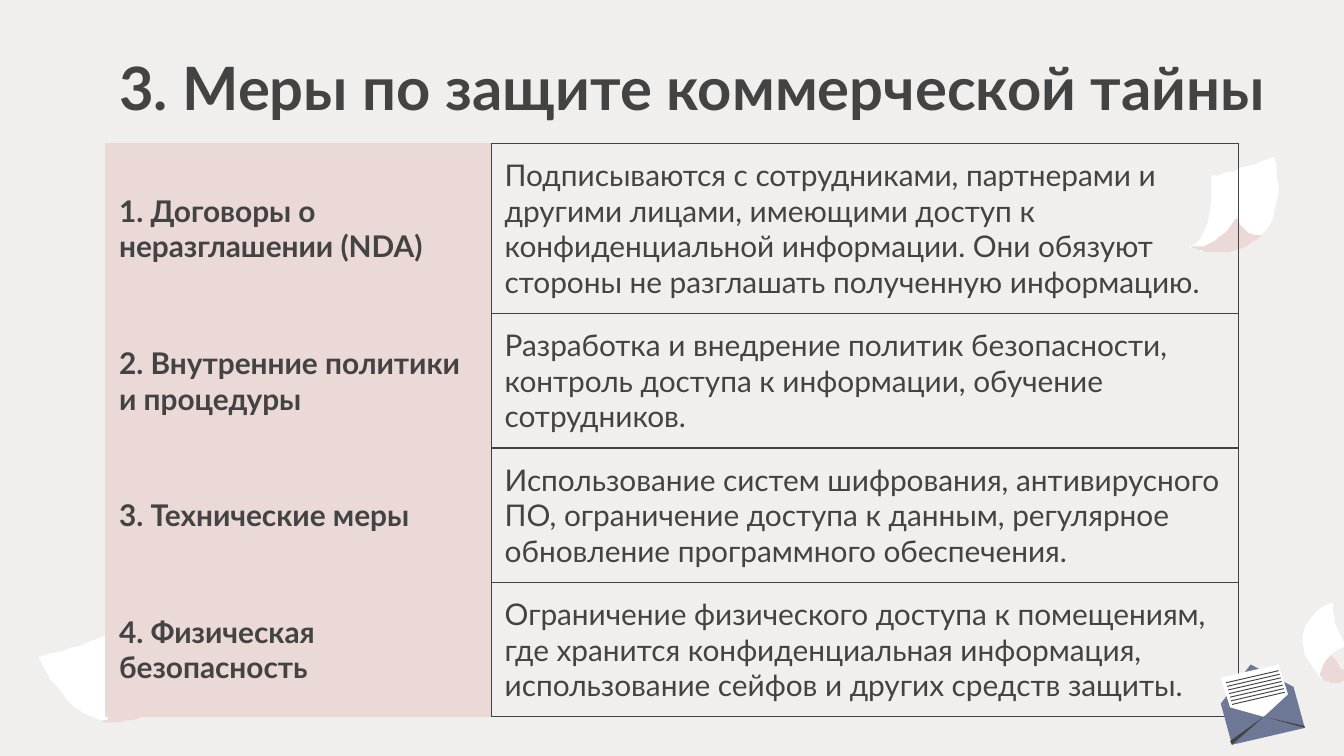
from dataclasses import dataclass

from lxml import etree
from pptx import Presentation
from pptx.dml.color import RGBColor
from pptx.enum.shapes import MSO_CONNECTOR
from pptx.enum.text import MSO_ANCHOR, MSO_AUTO_SIZE, PP_ALIGN
from pptx.oxml.ns import qn
from pptx.util import Pt

LEFT = PP_ALIGN.LEFT
TOP, MIDDLE = MSO_ANCHOR.TOP, MSO_ANCHOR.MIDDLE
NO_AUTOFIT = MSO_AUTO_SIZE.NONE
STRAIGHT = MSO_CONNECTOR.STRAIGHT
TITLE_ONLY = 5
CURVE_STEPS = 12
INSET = 7.2


@dataclass(frozen=True)
class Theme:
    font: str = "Lato"
    title_size: float = 32
    body_size: float = 16
    background: str = "F1EFEE"
    ink: str = "434343"
    pink: str = "EAD9D6"
    paper: str = "FFFFFF"
    envelope: str = "6D7897"


MEASURES = [
    ("1. Договоры о неразглашении (NDA)",
     "Подписываются с сотрудниками, партнерами и другими лицами, имеющими доступ "
     "к конфиденциальной информации. Они обязуют стороны не разглашать полученную информацию."),
    ("2. Внутренние политики и процедуры",
     "Разработка и внедрение политик безопасности, контроль доступа к информации, "
     "обучение сотрудников."),
    ("3. Технические меры",
     "Использование систем шифрования, антивирусного ПО, ограничение доступа к данным, "
     "регулярное обновление программного обеспечения."),
    ("4. Физическая безопасность",
     "Ограничение физического доступа к помещениям, где хранится конфиденциальная "
     "информация, использование сейфов и других средств защиты."),
]

# Outlines: a start point, then lines (2 numbers) or Bezier curves (6 numbers).
# A curve of 4 numbers has its first control point at the current point.
LEFT_SHEET = [(20.9, 352.1), (33.1, 381.6, 54.7, 385.9), (72, 388.1, 85.7, 377.3),
              (89.3, 375.1, 92.9, 371.5, 95.8, 366.5), (79.2, 370.8, 59.8, 338.4),
              (59, 339.1, 48.2, 345.6, 20.9, 352.1)]
LEFT_CURL = [(61.9, 368.6), (64.8, 380.2, 58.3, 384.5),
             (57.6, 385.9, 56.2, 385.9, 54.7, 386.6), (70.6, 389.5, 85, 379.4),
             (88.6, 376.6, 92.9, 372.2, 95.8, 366.5),
             (90.7, 370.1, 79.9, 375.8, 61.9, 368.6)]
RIGHT_SHEET = [(682.6, 83.5), (689.8, 110.2, 676.8, 125.3), (666, 135.4, 650.9, 135.4),
               (646.6, 135.4, 642.2, 134.6, 637.2, 132.5), (652.3, 126.7, 648.7, 94.3),
               (649.4, 94.3, 660.2, 92.9, 682.6, 83.5)]
RIGHT_CURL = [(662.4, 116.6), (666.7, 126, 673.2, 126),
              (674.6, 126, 676.1, 126, 676.8, 125.3), (667.4, 135.4, 652.3, 135.4),
              (648, 135.4, 643, 134.6, 637.9, 132.5),
              (643, 132.5, 653.8, 131, 662.4, 116.6)]
CORNER_CURL = [(712.1, 347), (702.7, 355, 707.8, 363.6), (710.6, 365.8, 715, 365.8),
               (717.8, 365.8, 720.7, 365, 724.3, 362.9), (715.7, 358.6, 712.1, 347)]
CORNER_SHEET = [(713.5, 322.6), (682.6, 335.5, 707.8, 363.6),
                (704.2, 354.2, 720.7, 345.6), (713.5, 333.4, 713.5, 322.6)]


def write_text(text_frame, text, *, font, size, color, bold=False, align=LEFT):
    paragraph = text_frame.paragraphs[0]
    paragraph.alignment = align
    run = paragraph.add_run()
    run.text = text
    run.font.name = font
    run.font.size = Pt(size)
    run.font.bold = bold
    run.font.color.rgb = RGBColor.from_string(color)


def flatten(outline):
    """Turn an outline of lines and curves into a list of points."""
    points = [outline[0]]
    for segment in outline[1:]:
        if len(segment) == 2:
            points.append(segment)
            continue
        start = points[-1]
        x1, y1, x2, y2, x3, y3 = (*start, *segment)[-6:]
        for step in range(1, CURVE_STEPS + 1):
            t = step / CURVE_STEPS
            weights = ((1 - t) ** 3, 3 * t * (1 - t) ** 2, 3 * t * t * (1 - t), t ** 3)
            points.append(tuple(sum(w * v for w, v in zip(weights, values))
                                for values in ((start[0], x1, x2, x3), (start[1], y1, y2, y3))))
    return points


class SlideBuilder:
    def __init__(self, slide, theme):
        self.slide = slide
        self.theme = theme
        slide.background.fill.solid()
        slide.background.fill.fore_color.rgb = RGBColor.from_string(theme.background)

    def title(self, text, left, top, width, height):
        shape = self.slide.shapes.title
        shape.left, shape.top, shape.width, shape.height = map(Pt, (left, top, width, height))
        frame = shape.text_frame
        frame.auto_size = NO_AUTOFIT
        frame.word_wrap = True
        frame.vertical_anchor = TOP
        frame.margin_left = frame.margin_right = frame.margin_top = frame.margin_bottom = Pt(INSET)
        write_text(frame, text, font=self.theme.font, size=self.theme.title_size,
                   color=self.theme.ink, bold=True)

    def outline(self, outline, color):
        first, *others = flatten(outline)
        builder = self.slide.shapes.build_freeform(*first, scale=Pt(1))
        builder.add_line_segments(others, close=True)
        shape = builder.convert_to_shape()
        shape.shadow.inherit = False
        shape.fill.solid()
        shape.fill.fore_color.rgb = RGBColor.from_string(color)
        shape.line.fill.background()

    def line(self, start, end, width):
        connector = self.slide.shapes.add_connector(STRAIGHT, *map(Pt, (*start, *end)))
        connector.line.color.rgb = RGBColor.from_string(self.theme.ink)
        connector.line.width = Pt(width)
        etree.SubElement(connector._element.spPr, qn("a:effectLst"))

    def cell(self, cell, text, bold, fill, borders):
        cell.vertical_anchor = MIDDLE
        cell.margin_left = cell.margin_right = cell.margin_top = cell.margin_bottom = Pt(INSET)
        write_text(cell.text_frame, text, font=self.theme.font, size=self.theme.body_size,
                   color=self.theme.ink, bold=bold)
        if fill:
            cell.fill.solid()
            cell.fill.fore_color.rgb = RGBColor.from_string(fill)
        else:
            cell.fill.background()
        properties = cell._tc.get_or_add_tcPr()
        for position, (side, color) in enumerate(zip("LRTB", borders)):
            border = etree.Element(qn(f"a:ln{side}"), w=str(Pt(0.75)))
            solid = etree.SubElement(border, qn("a:solidFill"))
            etree.SubElement(solid, qn("a:srgbClr"), val=color)
            properties.insert(position, border)

    def table(self, rows, left, top, widths, heights):
        frame = self.slide.shapes.add_table(len(rows), len(widths), *map(
            Pt, (left, top, sum(widths), sum(heights))))
        table = frame.table
        table.first_row = table.horz_banding = False
        for column, width in zip(table.columns, widths):
            column.width = Pt(width)
        pink, ink = self.theme.pink, self.theme.ink
        for index, (name, description) in enumerate(rows):
            table.rows[index].height = Pt(heights[index])
            self.cell(table.cell(index, 0), name, True, pink, (pink, ink, pink, pink))
            self.cell(table.cell(index, 1), description, False, None, (ink,) * 4)

    def envelope(self):
        left, right, top, center = (653.8, 377.3), (693.4, 367.9), (669.6, 356.4), (676.8, 383.8)
        bottom_left, bottom_right = (659.5, 398.9), (699.1, 389.5)
        for flap in ([left, bottom_left, center], [right, center, bottom_right],
                     [center, bottom_left, bottom_right], [top, left, center, right]):
            self.outline(flap, self.theme.envelope)
        self.outline([(685.4, 355.7), (654.5, 362.9), (658.8, 378.7), center, (689.8, 371.5)],
                     self.theme.paper)
        # Written lines on the letter
        for index in range(7):
            x, y = 656.8 + 0.55 * index, 365.8 + 1.93 * index
            self.line((x, y), (x + 28.2, y - 6.5), 0.5)
        # Creases
        self.outline([center, bottom_right, (699.1, 388.8)], self.theme.ink)
        self.outline([center, (658.8, 397.4), bottom_left], self.theme.ink)


def main():
    presentation = Presentation()
    presentation.slide_width, presentation.slide_height = Pt(720), Pt(405)
    theme = Theme()
    builder = SlideBuilder(
        presentation.slides.add_slide(presentation.slide_layouts[TITLE_ONLY]), theme)

    # Loose sheets behind the table
    for sheet, curl in ((LEFT_SHEET, LEFT_CURL), (RIGHT_SHEET, RIGHT_CURL)):
        builder.outline(sheet, theme.paper)
        builder.outline(curl, theme.pink)

    # Table and title
    builder.table(MEASURES, 56.6, 76.8, (206.6, 400.4), (91.2, 72, 72, 72))
    builder.title("3. Меры по защите коммерческой тайны", 56.6, 20.2, 658, 45.4)

    # Corner sheet and envelope in front
    builder.outline(CORNER_CURL, theme.pink)
    builder.outline(CORNER_SHEET, theme.paper)
    builder.envelope()

    presentation.save("out.pptx")


if __name__ == "__main__":
    main()
